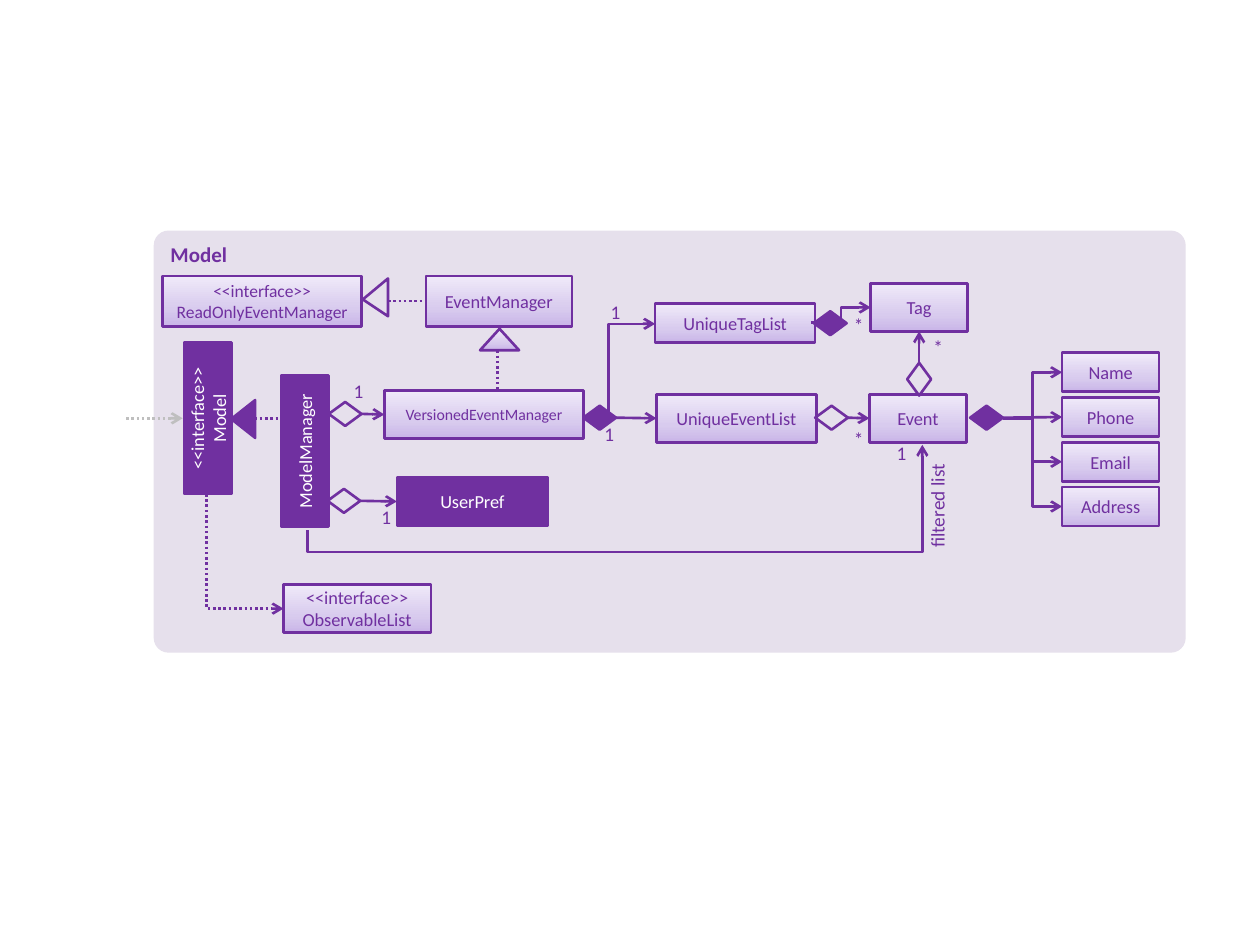
from copy import deepcopy
from lxml.etree import SubElement
from pptx import Presentation
from pptx.dml.color import RGBColor as Color
from pptx.enum.dml import MSO_LINE as Dash
from pptx.enum.shapes import MSO_CONNECTOR as Link, MSO_SHAPE as Form
from pptx.enum.text import MSO_ANCHOR as Anchor, PP_ALIGN as Align
from pptx.oxml.ns import qn
from pptx.util import Inches, Pt

THEME = {
    "font": "Calibri", "purple": "7030A0", "panel": "E6E0EC", "white": "FFFFFF", "grey": "BFBFBF",
    "gradient": [(0, "C9B5E8"), (0.35, "D8CBEE"), (1, "F0EAF9")],
    "title": 12, "label": 11, "box": 10.5, "compact": 10, "small": 9, "line": 1.5,
}
TOP, LEFT, BOTTOM, RIGHT = range(4)

PANEL = ("Model", (1.22, 1.83, 8.19, 3.35))
BOXES = {
    "user_pref": ("UserPref", (3.15, 3.79, 1.2, 0.38), "purple", "box", 0),
    "manager": ("ModelManager", (1.82, 3.39, 1.2, 0.38), "purple", "box", 270),
    "model": ("<<interface>>\nModel", (1.05, 3.13, 1.2, 0.38), "purple", "box", 270),
    "versioned": ("VersionedEventManager", (3.05, 3.1, 1.58, 0.38), "gradient", "small", 0),
    "event_list": ("UniqueEventList", (5.21, 3.13, 1.27, 0.38), "gradient", "box", 0),
    "event": ("Event", (6.9, 3.13, 0.77, 0.38), "gradient", "box", 0),
    "observable": ("<<interface>>\vObservableList", (2.25, 4.64, 1.17, 0.38), "gradient", "box", 0),
    "tag_list": ("UniqueTagList", (5.2, 2.41, 1.27, 0.31), "gradient", "box", 0),
    "tag": ("Tag", (6.91, 2.25, 0.77, 0.38), "gradient", "box", 0),
    "read_only": ("<<interface>>\vReadOnlyEventManager", (1.29, 2.19, 1.58, 0.4), "gradient", "compact", 0),
    "event_manager": ("EventManager", (3.38, 2.19, 1.16, 0.4), "gradient", "box", 0),
}
FIELDS = ["Name", "Phone", "Email", "Address"]
FIELD_LEFT, FIELD_TOP, FIELD_STEP, FIELD_SIZE = 8.43, 2.8, 0.355, (0.77, 0.31)

DIAMONDS = {
    "pref_holder": ((2.6, 3.88, 0.26, 0.19), None),
    "versioned_holder": ((2.61, 3.19, 0.26, 0.19), None),
    "list_owner": ((4.63, 3.22, 0.26, 0.19), "purple"),
    "event_holder": ((6.47, 3.22, 0.26, 0.19), None),
    "field_owner": ((7.7, 3.22, 0.26, 0.19), "purple"),
    "tag_holder": ((7.2, 2.88, 0.19, 0.26), None),
    "tag_owner": ((6.46, 2.47, 0.26, 0.19), "purple"),
}
TRIANGLES = [
    ((1.78, 3.23, 0.3, 0.19), "purple", 270, 0.5),
    ((3.81, 2.61, 0.31, 0.17), "gradient", 0, 0.5),
    ((2.83, 2.26, 0.3, 0.2), "panel", 270, 0.445),
]
STRAIGHTS = [
    (("pref_holder", RIGHT), ("user_pref", LEFT), {}),
    (("versioned_holder", RIGHT), ("versioned", LEFT), {}),
    (("list_owner", RIGHT), ("event_list", LEFT), {}),
    (("event_holder", RIGHT), ("event", LEFT), {}),
    (("field_owner", RIGHT), ("Phone", LEFT), {}),
    (("tag_holder", TOP), ("tag", BOTTOM), {}),
    ((1, 3.32), (1.45, 3.32), {"color": "grey", "dotted": True}),
    ((2.02, 3.32), (2.26, 3.32), {"dotted": True, "arrow": False}),
    ((3.95, 2.78), (3.95, 3.1), {"dotted": True, "arrow": False}),
    ((3.08, 2.39), ("event_manager", LEFT), {"dotted": True, "arrow": False}),
]
SIDEWAYS = [((6.44, 2.56), (6.91, 2.44))] + [
    ((7.96, 3.32), (FIELD_LEFT, FIELD_TOP + row * FIELD_STEP + FIELD_SIZE[1] / 2))
    for row, name in enumerate(FIELDS) if name != "Phone"
]
UPRIGHT = [
    ((2.44, 4.21), (7.32, 3.53), "bentConnector3", -0.25, {}),
    ((1.64, 3.92), (2.25, 4.83), "bentConnector2", None, {"dotted": True}),
    ((4.83, 3.35), (5.2, 2.57), "bentConnector2", None, {}),
]
COUNTS = [
    ("1", 4.73, 3.35), ("*", 6.71, 3.39), ("1", 2.74, 3.01), ("1", 2.96, 4.01),
    ("1", 7.05, 3.5), ("*", 7.34, 2.66), ("*", 6.71, 2.49), ("1", 4.78, 2.38),
]
FILTER = ("filtered list", (6.96, 3.92, 0.96, 0.29))


def assign(target, values):
    for key, value in values.items():
        setattr(target, key, value)


def paint(shape, fill):
    if fill is None:
        shape.fill.background()
    elif fill == "gradient":
        shape.fill.gradient()
        shape.fill.gradient_angle = 90
        stops = shape._element.spPr.find(qn("a:gradFill")).find(qn("a:gsLst"))
        stops.append(deepcopy(stops[-1]))
        for stop, (position, color) in zip(shape.fill.gradient_stops, THEME["gradient"]):
            stop.position = position
            stop.color.rgb = Color.from_string(color)
    else:
        shape.fill.solid()
        shape.fill.fore_color.rgb = Color.from_string(THEME[fill])


def outline(shape, color="purple"):
    shape.line.width = Pt(THEME["line"])
    shape.line.color.rgb = Color.from_string(THEME[color])


def add_form(page, form, at, fill, rotation=0, lined=True):
    shape = page.shapes.add_shape(form, *map(Inches, at))
    assign(shape, {"rotation": rotation})
    shape.shadow.inherit = False
    paint(shape, fill)
    if lined:
        outline(shape)
    else:
        shape.line.fill.background()
    return shape


def write(shape, text, size, color="purple", align=Align.CENTER, bold=False, **frame):
    assign(shape.text_frame, {"text": text, "word_wrap": True, **frame})
    for para in shape.text_frame.paragraphs:
        para.alignment = align
        for span in para.runs:
            assign(span.font, {"name": THEME["font"], "size": Pt(THEME[size]), "bold": bold})
            span.font.color.rgb = Color.from_string(THEME[color])


def finish(link, color="purple", dotted=False, arrow=True):
    outline(link, color)
    if dotted:
        link.line.dash_style = Dash.ROUND_DOT
    properties = link._element.spPr
    if arrow:
        SubElement(properties.find(qn("a:ln")), qn("a:tailEnd"), type="arrow")
    SubElement(properties, qn("a:effectLst"))


def add_straight(page, shapes, start, end, style):
    points = [(0, 0) if isinstance(spot[0], str) else spot for spot in (start, end)]
    link = page.shapes.add_connector(Link.STRAIGHT, *(Inches(n) for point in points for n in point))
    for spot, join in ((start, link.begin_connect), (end, link.end_connect)):
        if isinstance(spot[0], str):
            join(shapes[spot[0]], spot[1])
    finish(link, **style)


def add_upright(page, start, end, preset, bend, style):
    (x1, y1), (x2, y2) = start, end
    run, rise = abs(y2 - y1), abs(x2 - x1)
    left, top = (x1 + x2 - run) / 2, (y1 + y2 - rise) / 2
    link = page.shapes.add_connector(Link.ELBOW, *map(Inches, (left, top, left + run, top + rise)))
    frame = link._element.spPr.find(qn("a:xfrm"))
    frame.set("rot", str((90 if y2 > y1 else 270) * 60000))
    if (y2 > y1) == (x2 > x1):
        frame.set("flipV", "1")
    geometry = link._element.spPr.find(qn("a:prstGeom"))
    geometry.set("prst", preset)
    if bend is not None:
        SubElement(geometry.find(qn("a:avLst")), qn("a:gd"), name="adj1", fmla=f"val {round(bend * 100000)}")
    finish(link, **style)


def main():
    deck = Presentation()
    assign(deck, {"slide_width": Inches(10), "slide_height": Inches(7.5)})
    page = deck.slides.add_slide(deck.slide_layouts[6])

    title, area = PANEL
    panel = add_form(page, Form.ROUNDED_RECTANGLE, area, "panel", lined=False)
    panel.adjustments[0] = 0.035
    write(panel, title, "title", align=Align.LEFT, bold=True, vertical_anchor=Anchor.TOP)

    boxes = dict(BOXES)
    for row, name in enumerate(FIELDS):
        boxes[name] = (name, (FIELD_LEFT, FIELD_TOP + row * FIELD_STEP, *FIELD_SIZE), "gradient", "box", 0)
    shapes = {}
    for name, (text, at, fill, size, rotation) in boxes.items():
        shapes[name] = add_form(page, Form.RECTANGLE, at, fill, rotation)
        color = "white" if fill == "purple" else "purple"
        write(shapes[name], text, size, color, vertical_anchor=Anchor.MIDDLE)
    for name, (at, fill) in DIAMONDS.items():
        shapes[name] = add_form(page, Form.FLOWCHART_DECISION, at, fill)
    for at, fill, rotation, tip in TRIANGLES:
        add_form(page, Form.ISOSCELES_TRIANGLE, at, fill, rotation).adjustments[0] = tip

    for start, end, style in STRAIGHTS:
        add_straight(page, shapes, start, end, style)
    for start, end in SIDEWAYS:
        finish(page.shapes.add_connector(Link.ELBOW, *map(Inches, start + end)))
    for route in UPRIGHT:
        add_upright(page, *route)

    flush = dict.fromkeys(("margin_left", "margin_top", "margin_right", "margin_bottom"), 0)
    for text, left, top in COUNTS:
        write(page.shapes.add_textbox(*map(Inches, (left, top, 0.21, 0.2))), text, "label", **flush)
    text, at = FILTER
    label = page.shapes.add_textbox(*map(Inches, at))
    label.rotation = 270
    write(label, text, "label", align=Align.RIGHT)
    deck.save("out.pptx")


if __name__ == "__main__":
    main()
